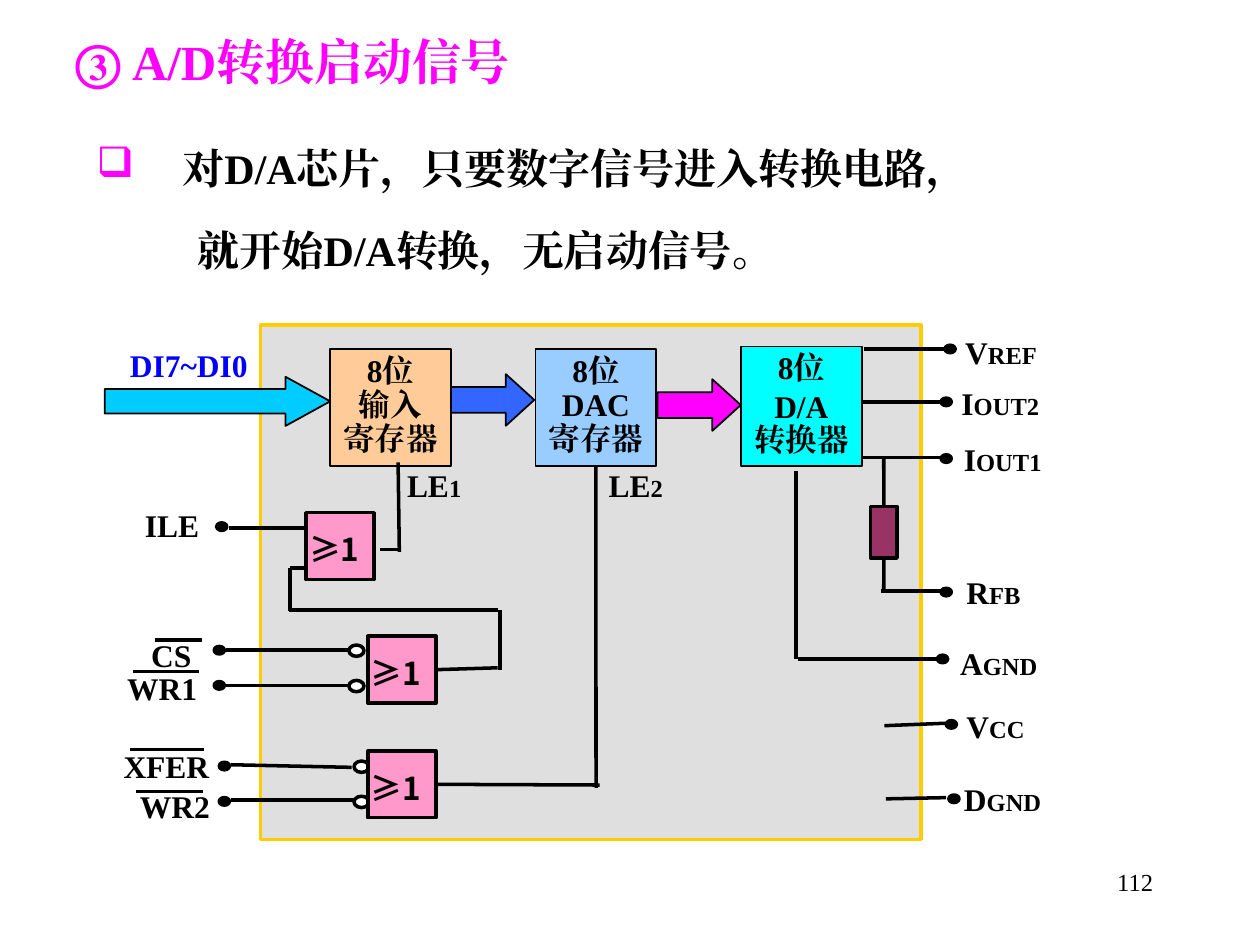
from lxml.etree import SubElement
from pptx import Presentation
from pptx.dml.color import RGBColor
from pptx.enum.shapes import MSO_CONNECTOR as Link, MSO_SHAPE as Shape
from pptx.enum.text import MSO_ANCHOR as Anchor, PP_ALIGN as Align
from pptx.oxml.ns import qn
from pptx.util import Pt

COLORS = {
    "black": "000000", "white": "FFFFFF", "magenta": "FF00FF", "blue": "0000FF",
    "panel": "C0C0C0", "gold": "FFCC00", "peach": "FFCC99", "sky": "99CCFF",
    "cyan": "00FFFF", "royal": "3366FF", "azure": "00CCFF", "plum": "993366",
    "pink": "FF99CC",
}
SERIF, SANS = "Times New Roman", "Noto Sans CJK SC"
TOP, RIGHT, BOTTOM = 0, 3, 2
DOT, BUBBLE, GATE = (5.8, 4.3), (8.6, 6.5), (38.9, 38.2)

TITLE = [("③", 28, "magenta"), (" ", 24, "black"), ("A/D转换启动信号", 28, "magenta")]
# text, left margin, first-line indent, line spacing, bullet
NOTES = [
    ("对D/A芯片，只要数字信号进入转换电路，", 49, -49, 1, "❑"),
    ("就开始D/A转换，无启动信号。", 57.7, 0, 1.1, None),
]
CHIP = (149, 185.8, 377.3, 293.8)
# lines, box, colour, line spacing of each line
BLOCKS = [
    (("8位", "输入", "寄存器"), (188.6, 199.4, 69.1, 67), "peach", (0.9, 0.9, 0.9)),
    (("8位", "DAC", "寄存器"), (306, 199.4, 69.1, 67), "sky", (0.9, 0.9, 0.9)),
    (("8位", "D/A", "转换器"), (423.4, 198, 69.1, 68.4), "cyan", (0.9, 1, 0.9)),
]
# box, colour, head length relative to height
ARROWS = [
    ((59.8, 215.3, 128.9, 28.1), "azure", 0.91),
    ((257.8, 213.8, 47.5, 29.5), "royal", 0.55),
    ((375.8, 216.7, 47.5, 29.5), "magenta", 0.55),
]
# letter, small letters, label corner, dot corner, wire
OUTPUTS = [
    ("V", "REF", (551.5, 190.1), (540, 197.3), (493.9, 199.4, 540, 199.4)),
    ("I", "OUT2", (549.4, 219.6), (537.8, 227.5), (492.5, 229.7, 537.8, 229.7)),
    ("I", "OUT1", (550.8, 251.3), (537.8, 259.9), (492.5, 261.4, 537.8, 261.4)),
    ("R", "FB", (552.2, 327.6), (537.8, 336.2), (503.3, 337.7, 540, 337.7)),
    ("A", "GND", (548.6, 367.9), (535.7, 374.4), (455.8, 376.6, 537.8, 376.6)),
    ("V", "CC", (552.2, 403.9), (540.7, 411.8), (505.4, 414.7, 540, 413.3)),
    ("D", "GND", (550.8, 445.7), (542.2, 454.3), (506.2, 456.5, 540.7, 455.8)),
]
# name, label corner, overline (x1, x2, y), dot corner, wire, bubble corner
INPUTS = [
    ("ILE", (82.8, 289.4), None, (123.8, 298.8), (131, 301.7, 177.8, 301.7), None),
    ("CS", (86.4, 363.6), (88.6, 115.2, 365.8), (122.4, 369.4),
     (128.9, 371.5, 198.7, 371.5), (199.4, 368.6)),
    ("WR1", (72.7, 382.3), (76.3, 113.8, 383.8), (122.4, 389.5),
     (128.9, 391.7, 200.2, 391.7), (199.4, 388.8)),
    ("XFER", (70.6, 427), (74.2, 116.6, 428.4), (125.3, 435.6),
     (131.8, 437, 200.9, 438.5), (202.3, 434.9)),
    ("WR2", (79.9, 450), (77.8, 115.9, 452.2), (125.3, 455.8),
     (131.8, 457.2, 203, 457.2), (202.3, 455)),
]
LATCHES = [("LE", "1", (232.6, 266.4)), ("LE", "2", (347.8, 266.4))]
GATES = [(175, 293), (210.2, 363.6), (210.2, 429.1)]
RESISTOR = (497.5, 289.4, 15.1, 29.5)
INNER_WIRES = [
    (455, 269.3, 455, 376.6),
    (341, 448.6, 341, 450), (227.5, 264.2, 228.2, 315.4), (217.4, 313.9, 229, 313.9),
    (164.9, 348.5, 284.4, 348.5), (285.8, 348.5, 285.8, 383),
    (165.6, 324.7, 179.3, 324.7), (165.6, 324.7, 165.6, 349.2),
]

prs = Presentation()
prs.slide_width, prs.slide_height = Pt(720), Pt(540)
slide = prs.slides.add_slide(prs.slide_layouts[6])
shapes = slide.shapes


def rgb(name):
    return RGBColor.from_string(COLORS[name])


def set_frame(frame, insets=(0, 0)):
    across, down = (Pt(inset) for inset in insets)
    settings = {"word_wrap": True, "vertical_anchor": Anchor.TOP,
                "margin_left": across, "margin_right": across,
                "margin_top": down, "margin_bottom": down}
    for key, value in settings.items():
        setattr(frame, key, value)


def add_run(paragraph, text, size=18, color="black", face=SERIF, bold=True):
    run = paragraph.add_run()
    run.text = text
    for key, value in {"size": Pt(size), "name": face, "bold": bold}.items():
        setattr(run.font, key, value)
    run.font.color.rgb = rgb(color)
    SubElement(run.font._element, qn("a:ea"), typeface=face)


def add_text(box, runs, insets=(0, 0), align=Align.LEFT, spacing=None):
    """Place one paragraph; each run is a tuple of add_run arguments."""
    frame = shapes.add_textbox(*map(Pt, box)).text_frame
    set_frame(frame, insets)
    paragraph = frame.paragraphs[0]
    paragraph.alignment, paragraph.line_spacing = align, spacing
    for run in runs:
        add_run(paragraph, *run)
    return frame


def add_part(kind, box, fill, line="black", width=2):
    part = shapes.add_shape(kind, *map(Pt, box))
    part.shadow.inherit = False
    part.fill.solid()
    part.fill.fore_color.rgb = rgb(fill)
    part.line.color.rgb = rgb(line)
    part.line.width = Pt(width)
    return part


def add_wire(ends, source=None, target=None):
    """Source and target are (shape, side) pairs that the ends are joined to."""
    wire = shapes.add_connector(Link.STRAIGHT, *map(Pt, ends))
    wire.line.color.rgb = rgb("black")
    wire.line.width = Pt(2)
    SubElement(wire._element.spPr, qn("a:effectLst"))
    if source:
        wire.begin_connect(*source)
    if target:
        wire.end_connect(*target)


add_text((36.2, 14.4, 300, 41), TITLE, (7.2, 3.6))

notes = add_text((48.2, 77.8, 635.8, 82.8), [], (7.2, 3.6))
for index, (text, margin, indent, spacing, bullet) in enumerate(NOTES):
    paragraph = notes.add_paragraph() if index else notes.paragraphs[0]
    paragraph.line_spacing, paragraph.space_after = spacing, Pt(15)
    props = paragraph._p.get_or_add_pPr()
    props.set("marL", str(Pt(margin)))
    props.set("indent", str(Pt(indent)))
    if bullet:
        tint = SubElement(props, qn("a:buClr"))
        SubElement(tint, qn("a:srgbClr"), val=COLORS["magenta"])
        SubElement(props, qn("a:buChar"), char=bullet)
    add_run(paragraph, text, 24)

chip = add_part(Shape.RECTANGLE, CHIP, "panel", "gold")
chip_color = chip._element.spPr.find(qn("a:solidFill"))[0]
SubElement(chip_color, qn("a:alpha"), val="50000")

blocks = []
for lines, box, color, spacings in BLOCKS:
    block = add_part(Shape.RECTANGLE, box, color, width=1)
    set_frame(block.text_frame, (0, 3.6))
    for index, (text, spacing) in enumerate(zip(lines, spacings)):
        frame = block.text_frame
        paragraph = frame.add_paragraph() if index else frame.paragraphs[0]
        paragraph.alignment, paragraph.line_spacing = Align.CENTER, spacing
        add_run(paragraph, text)
    blocks.append(block)

for box, color, head in ARROWS:
    arrow = add_part(Shape.RIGHT_ARROW, box, color, width=1)
    arrow.adjustments[0], arrow.adjustments[1] = 0.5, head
add_text((74.2, 198, 87.8, 23.8), [("DI7~DI0", 18, "blue")])

for letter, small, label, dot, wire in OUTPUTS:
    add_wire(wire)
    add_part(Shape.OVAL, dot + DOT, "black")
    add_text(label + (68, 21.6), [(letter,), (small, 14)])

for name, label, overline, dot, wire, bubble in INPUTS:
    add_wire(wire)
    add_part(Shape.OVAL, dot + DOT, "black")
    add_text(label + (52, 21.6), [(name,)])
    if overline:
        start, end, y = overline
        add_wire((start, y, end, y))
    if bubble:
        add_part(Shape.OVAL, bubble + BUBBLE, "white")

for letters, digit, label in LATCHES:
    add_text(label + (50, 18), [(letters,), (digit, 14)])

for wire in INNER_WIRES:
    add_wire(wire)

gates = []
for x, y in GATES:
    gates.append(add_part(Shape.RECTANGLE, (x, y) + GATE, "pink"))
    add_text((x + 1.8, y - 2.9, 33.1, 34.6), [("≥1", 18, "black", SANS)], spacing=1.6)

resistor = add_part(Shape.RECTANGLE, RESISTOR, "plum")
add_wire((505, 261.4, 505, 289.4), target=(resistor, TOP))
add_wire((505, 318.9, 505, 338.4), source=(resistor, BOTTOM))
add_wire((340.6, 266.4, 340.6, 450), source=(blocks[1], BOTTOM))
add_wire((249.1, 382.7, 284.4, 381.6), source=(gates[1], RIGHT))
add_wire((249.1, 448.2, 342.7, 448.6), source=(gates[2], RIGHT))

add_text((516.2, 491.8, 149.8, 36), [("112", 14, "black", SERIF, False)],
         (7.2, 3.6), Align.RIGHT)

prs.save("out.pptx")
